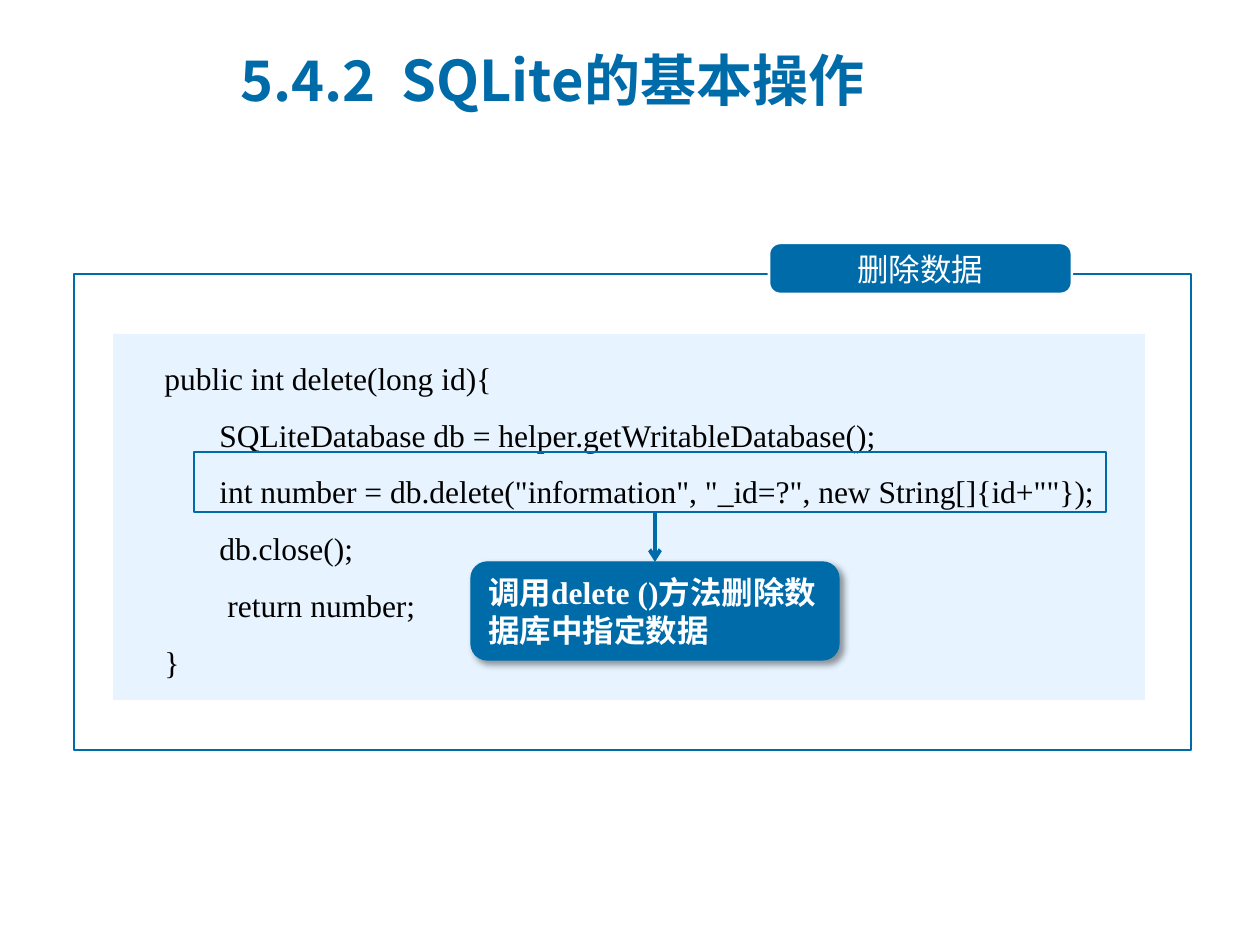
import dataclasses

import pptx
import pptx.dml.color
import pptx.enum.shapes
import pptx.enum.text
import pptx.oxml
import pptx.oxml.ns
import pptx.util

SCALE = 914400 // 126
SHAPE = pptx.enum.shapes.MSO_SHAPE
ALIGN = pptx.enum.text.PP_ALIGN
ANCHOR = pptx.enum.text.MSO_ANCHOR


@dataclasses.dataclass(frozen=True)
class Theme:
    """Colours, fonts and type sizes of the slide."""
    blue: str = "006BA9"
    pale: str = "E7F4FF"
    white: str = "FFFFFF"
    black: str = "000000"
    sans: str = "Noto Sans CJK SC"
    serif: str = "Times New Roman"
    title: int = 32
    body: int = 18


THEME = Theme()
CODE = [
    (39, "public int delete(long id){"),
    (94, "SQLiteDatabase db = helper.getWritableDatabase();"),
    (94, 'int number = db.delete("information", "_id=?", new String[]{id+""});'),
    (94, "db.close();"),
    (102, "return number;"),
    (39, "}"),
]


def px(*lengths):
    """Turn pixel lengths into EMU."""
    return [pptx.util.Emu(length * SCALE) for length in lengths]


def rgb(colour):
    """Make a colour value from its hex name."""
    return pptx.dml.color.RGBColor.from_string(colour)


def add_xml(parent, body):
    """Append a DrawingML fragment to an element."""
    tag, rest = body.split(" ", 1) if " " in body.split(">")[0] else (body.split("/")[0], "/>")
    parent.append(pptx.oxml.parse_xml(f"{tag} {pptx.oxml.ns.nsdecls('a')} {rest}"))


def add_box(page, place, kind=SHAPE.RECTANGLE, fill=None, line=None, width=1.5):
    """Add a preset shape with an optional fill and outline."""
    box = page.shapes.add_shape(kind, *px(*place))
    box.shadow.inherit = False
    if fill:
        box.fill.solid()
        box.fill.fore_color.rgb = rgb(fill)
    else:
        box.fill.background()
    if line:
        box.line.color.rgb = rgb(line)
        box.line.width = pptx.util.Pt(width)
    else:
        box.line.fill.background()
    return box


def set_frame(box, anchor):
    """Make the text of a box wrap and return its frame."""
    frame = box.text_frame
    frame.word_wrap = True
    frame.vertical_anchor = anchor
    return frame


def add_span(para, text, colour, font, size=THEME.body, bold=False):
    """Add one run with its font for Latin and East Asian letters."""
    span = para.add_run()
    span.text = text
    span.font.size = pptx.util.Pt(size)
    span.font.bold = bold
    span.font.color.rgb = rgb(colour)
    span.font.name = font
    add_xml(span.font._element, f'<a:ea typeface="{THEME.sans}"/>')


def add_title(page):
    """Add the slide title."""
    box = page.shapes.add_textbox(*px(228, 26, 709, 106))
    para = set_frame(box, ANCHOR.MIDDLE).paragraphs[0]
    add_span(para, "5.4.2  SQLite的基本操作", THEME.blue, THEME.sans, THEME.title, True)


def add_label(page):
    """Add the rounded label on the frame's top edge."""
    box = add_box(page, (769, 243, 303, 51), SHAPE.ROUNDED_RECTANGLE, THEME.blue, THEME.white)
    box.adjustments[0] = 0.22
    para = set_frame(box, ANCHOR.MIDDLE).paragraphs[0]
    para.alignment = ALIGN.CENTER
    add_span(para, "删除数据", THEME.white, THEME.sans)


def add_code(page):
    """Add the code panel, one indented paragraph a line."""
    box = add_box(page, (113, 334, 1032, 366), fill=THEME.pale)
    frame = set_frame(box, ANCHOR.TOP)
    for index, (indent, text) in enumerate(CODE):
        para = frame.add_paragraph() if index else frame.paragraphs[0]
        para.alignment = ALIGN.LEFT
        para.line_spacing = 1.5
        para._p.get_or_add_pPr().set("marL", str(px(indent)[0]))
        add_span(para, text, THEME.black, THEME.serif)


def add_callout(page):
    """Add the shadowed explanation of the highlighted line."""
    box = add_box(page, (471, 562, 368, 98), SHAPE.ROUNDED_RECTANGLE,
                  THEME.blue, THEME.blue, 0.75)
    effects = box._element.spPr.find(pptx.oxml.ns.qn("a:effectLst"))
    add_xml(effects, '<a:outerShdw blurRad="50800" dist="38100" dir="2700000" algn="tl" '
                     f'rotWithShape="0"><a:srgbClr val="{THEME.black}">'
                     '<a:alpha val="40000"/></a:srgbClr></a:outerShdw>')
    frame = set_frame(box, ANCHOR.MIDDLE)
    frame.auto_size = pptx.enum.text.MSO_AUTO_SIZE.SHAPE_TO_FIT_TEXT
    para = frame.paragraphs[0]
    para.alignment = ALIGN.LEFT
    for text in ("调用", "delete", " ()方法删除数据库中指定数据"):
        add_span(para, text, THEME.white, THEME.serif, bold=True)
    return box


def add_arrow(page, start, callout):
    """Add an arrow from a point to the top of the callout."""
    arrow = page.shapes.add_connector(
        pptx.enum.shapes.MSO_CONNECTOR.STRAIGHT, *px(*start, 655, 562))
    arrow.end_connect(callout, 0)
    arrow.line.color.rgb = rgb(THEME.blue)
    arrow.line.width = pptx.util.Pt(2.25)
    add_xml(arrow.line._get_or_add_ln(), '<a:tailEnd type="arrow"/>')
    add_xml(arrow._element.spPr, "<a:effectLst/>")


def main():
    """Build the slide and save it."""
    deck = pptx.Presentation()
    deck.slide_width, deck.slide_height = px(1260, 945)
    page = deck.slides.add_slide(deck.slide_layouts[6])
    add_box(page, (74, 274, 1117, 476), line=THEME.blue)
    add_label(page)
    add_code(page)
    add_box(page, (194, 452, 912, 60), line=THEME.blue)
    callout = add_callout(page)
    add_arrow(page, (655, 512), callout)
    add_title(page)
    deck.save("out.pptx")


if __name__ == "__main__":
    main()
